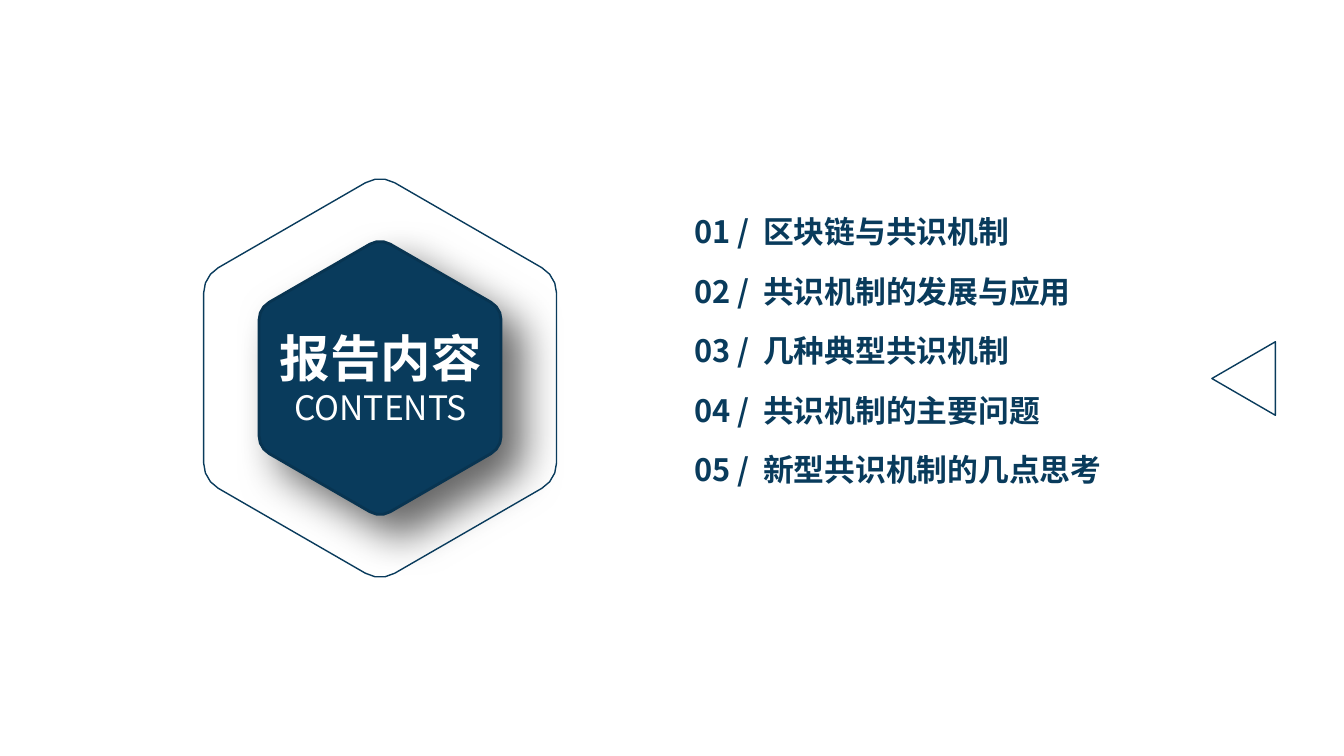
import dataclasses
import math

import lxml.etree
import pptx
import pptx.dml.color
import pptx.enum.shapes
import pptx.enum.text
import pptx.oxml.ns
import pptx.util

ALIGN = pptx.enum.text.PP_ALIGN
ANCHOR = pptx.enum.text.MSO_ANCHOR
TITLE_ONLY = 5


@dataclasses.dataclass(frozen=True)
class Theme:
    font: str = "Noto Sans CJK SC"
    navy: str = "093B5C"
    edge: str = "083451"
    white: str = "FFFFFF"
    black: str = "000000"
    title_size: int = 36
    subtitle_size: int = 24
    item_size: int = 22


def px(length):
    return pptx.util.Emu(round(length * 9144))


def rgb(code):
    return pptx.dml.color.RGBColor.from_string(code)


def add_xml(parent, tag, **attributes):
    return lxml.etree.SubElement(parent, pptx.oxml.ns.qn(tag), attributes)


class SlideBuilder:
    def __init__(self, page, theme):
        self.page = page
        self.theme = theme

    def style_frame(self, frame, anchor):
        settings = {
            "word_wrap": True,
            "auto_size": pptx.enum.text.MSO_AUTO_SIZE.NONE,
            "vertical_anchor": anchor,
            "margin_left": px(10),
            "margin_right": px(10),
            "margin_top": px(5),
            "margin_bottom": px(5),
        }
        for name, value in settings.items():
            setattr(frame, name, value)

    def add_span(self, para, text, size, color, bold):
        span = para.add_run()
        span.text = text
        settings = {"name": self.theme.font, "size": pptx.util.Pt(size), "bold": bold}
        for name, value in settings.items():
            setattr(span.font, name, value)
        span.font.color.rgb = rgb(color)
        add_xml(span.font._element, "a:ea", typeface=self.theme.font)

    def style_shape(self, shape, line, width, fill=None):
        shape.shadow.inherit = False
        if fill:
            shape.fill.solid()
            shape.fill.fore_color.rgb = rgb(fill)
        else:
            shape.fill.background()
        shape.line.color.rgb = rgb(line)
        shape.line.width = pptx.util.Pt(width)

    def add_hexagon(self, center, apothem, radius, **style):
        """Draw a pointed-top hexagon with rounded corners."""
        reach = (apothem - radius) / math.cos(math.radians(30))
        points = []
        for corner in range(30, 390, 60):
            for turn in range(corner - 30, corner + 31, 20):
                points.append(tuple(
                    px(middle + reach * wave(math.radians(corner))
                       + radius * wave(math.radians(turn)))
                    for middle, wave in zip(center, (math.cos, math.sin))))
        outline = self.page.shapes.build_freeform(*points[0])
        outline.add_line_segments(points[1:], close=True)
        hexagon = outline.convert_to_shape()
        self.style_shape(hexagon, **style)
        return hexagon

    def add_shadow(self, shape, blur, distance, angle, opacity):
        effects = shape.element.spPr.find(pptx.oxml.ns.qn("a:effectLst"))
        shadow = add_xml(
            effects, "a:outerShdw", blurRad=str(pptx.util.Pt(blur)),
            dist=str(pptx.util.Pt(distance)), dir=str(angle * 60000),
            algn="tl", rotWithShape="0")
        color = add_xml(shadow, "a:srgbClr", val=self.theme.black)
        add_xml(color, "a:alpha", val=str(opacity * 1000))

    def add_triangle(self, left, top, width, height, rotation):
        triangle = self.page.shapes.add_shape(
            pptx.enum.shapes.MSO_SHAPE.ISOSCELES_TRIANGLE,
            *map(px, (left, top, width, height)))
        triangle.rotation = rotation
        self.style_shape(triangle, self.theme.navy, 1)

    def add_item(self, number, text, left, top, width, height):
        box = self.page.shapes.add_textbox(*map(px, (left, top, width, height)))
        self.style_frame(box.text_frame, ANCHOR.MIDDLE)
        para = box.text_frame.paragraphs[0]
        tabs = add_xml(para._p.get_or_add_pPr(), "a:tabLst")
        add_xml(tabs, "a:tab", pos=str(px(68)), algn="l")
        self.add_span(para, f"{number:02d} /\t{text}",
                      self.theme.item_size, self.theme.navy, True)

    def place_title(self, title, subtitle, left, top, width, height):
        """Fill the title placeholder and bring it in front of the shapes."""
        holder = self.page.shapes.title
        places = zip(("left", "top", "width", "height"), (left, top, width, height))
        for name, length in places:
            setattr(holder, name, px(length))
        frame = holder.text_frame
        self.style_frame(frame, ANCHOR.TOP)
        heading, caption = frame.paragraphs[0], frame.add_paragraph()
        self.add_span(heading, title, self.theme.title_size, self.theme.white, True)
        self.add_span(caption, subtitle, self.theme.subtitle_size, self.theme.white, False)
        heading.alignment = caption.alignment = ALIGN.CENTER
        heading.line_spacing = 1.0
        caption.line_spacing = pptx.util.Pt(29)
        holder.element.getparent().append(holder.element)


def main():
    deck = pptx.Presentation()
    deck.slide_width, deck.slide_height = px(1333), px(750)
    page = deck.slides.add_slide(deck.slide_layouts[TITLE_ONLY])
    theme = Theme()
    builder = SlideBuilder(page, theme)

    items = [("区块链与共识机制", 397), ("共识机制的发展与应用", 469),
             ("几种典型共识机制", 397), ("共识机制的主要问题", 397),
             ("新型共识机制的几点思考", 523)]
    for row, (text, width) in enumerate(items):
        builder.add_item(row + 1, text, 679, 206 + 59 * row, width, 47)

    center = (377, 375)
    badge = builder.add_hexagon(center, 120, 20, line=theme.edge, width=2, fill=theme.navy)
    builder.add_shadow(badge, blur=30, distance=20, angle=45, opacity=60)
    builder.add_hexagon(center, 175, 29, line=theme.navy, width=1)
    builder.place_title("报告内容", "CONTENTS", 256, 319, 243, 111)
    builder.add_triangle(1197, 344, 73, 63, 270)

    deck.save("out.pptx")


if __name__ == "__main__":
    main()
